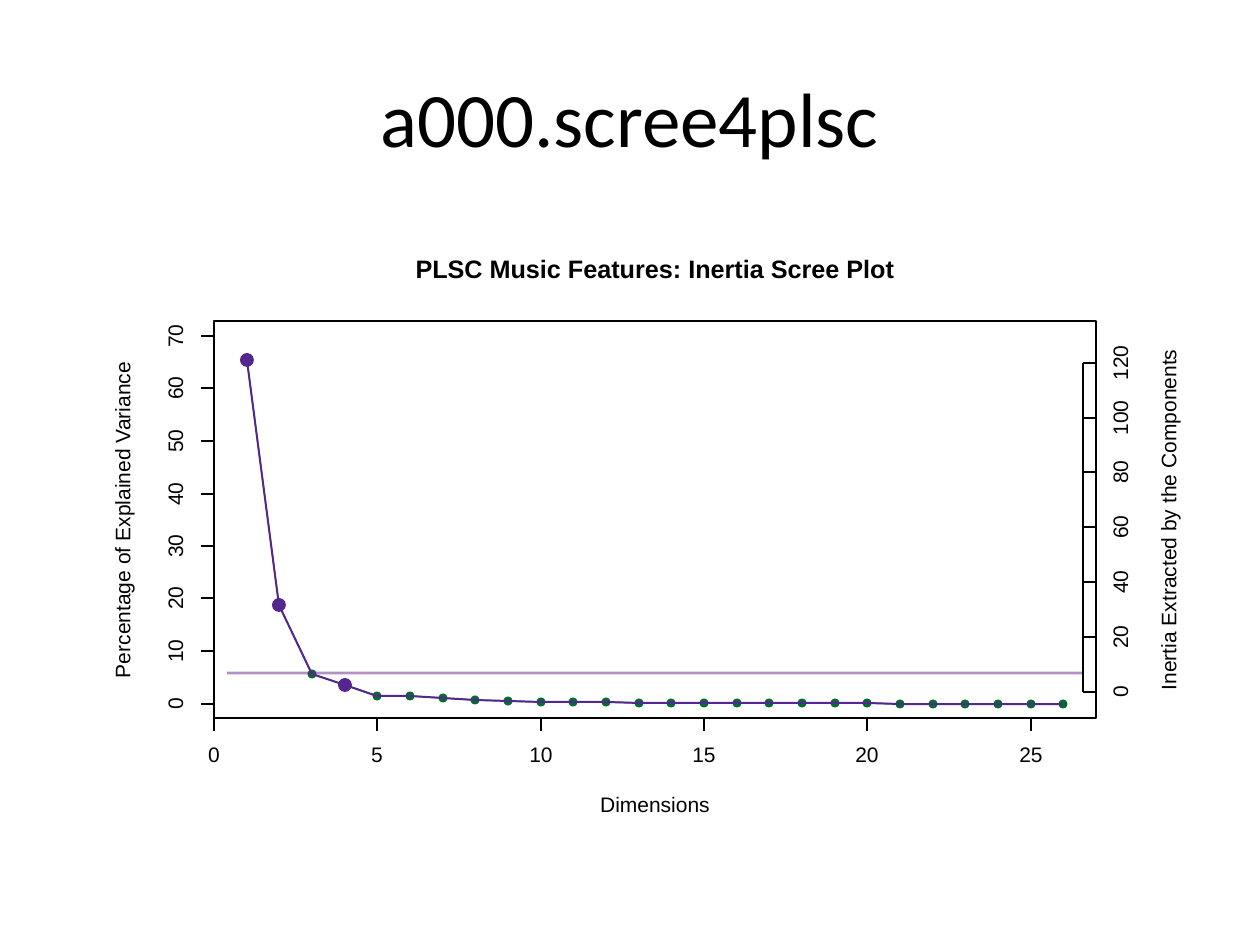
from lxml import etree
from pptx import Presentation
from pptx.dml.color import RGBColor
from pptx.enum.shapes import MSO_CONNECTOR, MSO_SHAPE
from pptx.enum.text import MSO_ANCHOR, PP_ALIGN
from pptx.oxml.ns import qn
from pptx.util import Emu, Pt

SCALE = 914400 / 126
COLORS = {
    "ink": "000000",
    "paper": "FFFFFF",
    "green": "006D2C",
    "purple": "54278F",
    "threshold": "68228B",
}
LEFT, TOP, RIGHT, BOTTOM = 214, 321, 1096, 718
TICK = 13
VARIANCE = [65.5, 18.7, 5.6, 3.6, 1.5, 1.4, 1.1, 0.6, 0.4, 0.3, 0.3, 0.2]
VARIANCE += [0.1] * 8 + [0] * 6
SIGNIFICANT = (1, 2, 4)


def px(value):
    return Emu(round(value * SCALE))


def color(name):
    return RGBColor.from_string(COLORS[name])


def dimension_x(dimension):
    return round(LEFT + dimension * 32.67)


def variance_y(percent):
    return round(703.5 - percent * 5.25)


def inertia_y(inertia):
    return round(691.5 - inertia * 2.74)


def add_text(slide, text, center, size, points=12, font="Arial", bold=False,
             rotation=0, spacing=None):
    x, y = center
    width, height = size
    shape = slide.shapes.add_textbox(
        px(x - width / 2), px(y - height / 2), px(width), px(height))
    shape.rotation = rotation
    frame = shape.text_frame
    frame.text = text
    frame.word_wrap = False
    frame.vertical_anchor = MSO_ANCHOR.MIDDLE
    frame.margin_left = frame.margin_right = frame.margin_top = frame.margin_bottom = 0
    paragraph = frame.paragraphs[0]
    paragraph.alignment = PP_ALIGN.CENTER
    paragraph.line_spacing = spacing or Pt(points)
    style = paragraph.runs[0].font
    style.name = font
    style.size = Pt(points)
    style.bold = bold
    style.color.rgb = color("ink")


def add_line(slide, start, end, line="ink", width=0.75, opacity=None):
    connector = slide.shapes.add_connector(
        MSO_CONNECTOR.STRAIGHT, *map(px, start + end))
    connector.line.color.rgb = color(line)
    connector.line.width = Pt(width)
    properties = connector._element.spPr
    if opacity is not None:
        fill = properties.find(".//" + qn("a:srgbClr"))
        etree.SubElement(fill, qn("a:alpha")).set("val", str(opacity * 1000))
    etree.SubElement(properties, qn("a:effectLst"))


def add_path(slide, points, line, width=0.75, close=False):
    builder = slide.shapes.build_freeform(*points[0], scale=SCALE)
    builder.add_line_segments(points[1:], close=close)
    shape = builder.convert_to_shape()
    shape.shadow.inherit = False
    shape.fill.background()
    shape.line.color.rgb = color(line)
    shape.line.width = Pt(width)


def add_shape(slide, kind, box, fill, line=None):
    shape = slide.shapes.add_shape(kind, *map(px, box))
    shape.shadow.inherit = False
    shape.fill.solid()
    shape.fill.fore_color.rgb = color(fill)
    if line:
        shape.line.color.rgb = color(line)
        shape.line.width = Pt(0.75)
    else:
        shape.line.fill.background()


def add_dot(slide, center, diameter, fill):
    x, y = center
    box = (x - diameter / 2, y - diameter / 2, diameter, diameter)
    add_shape(slide, MSO_SHAPE.OVAL, box, fill)


def add_tick_label(slide, value, center, rotation=0):
    text = str(value)
    add_text(slide, text, center, (14 * len(text), 15), rotation=rotation)


def add_dimension_axis(slide):
    add_line(slide, (LEFT, BOTTOM), (dimension_x(25), BOTTOM))
    for value in range(0, 26, 5):
        x = dimension_x(value)
        add_line(slide, (x, BOTTOM), (x, BOTTOM + TICK))
        add_tick_label(slide, value, (x, 756))


def add_vertical_axis(slide, values, position, x, tick_end, label_x):
    add_line(slide, (x, position(values[0])), (x, position(values[-1])))
    for value in values:
        y = position(value)
        add_line(slide, (x, y), (tick_end, y))
        add_tick_label(slide, value, (label_x, y), rotation=270)


def add_scree(slide):
    points = [(dimension_x(dimension), variance_y(percent))
              for dimension, percent in enumerate(VARIANCE, 1)]
    add_path(slide, points, "green")
    for point in points:
        add_dot(slide, point, 9, "green")
    add_path(slide, points, "purple", 1.12)
    for dimension in SIGNIFICANT:
        add_dot(slide, points[dimension - 1], 14, "purple")


def main():
    presentation = Presentation()
    presentation.slide_width = px(1260)
    presentation.slide_height = px(945)
    slide = presentation.slides.add_slide(presentation.slide_layouts[6])

    add_text(slide, "a000.scree4plsc", (630, 117), (1134, 158), 44, "Calibri",
             spacing=1.0)
    add_shape(slide, MSO_SHAPE.RECTANGLE, (63, 221, 1134, 624), "paper", "paper")
    add_dimension_axis(slide)
    add_vertical_axis(slide, range(0, 71, 10), variance_y, LEFT, LEFT - TICK, 177)
    corners = [(LEFT, BOTTOM), (RIGHT, BOTTOM), (RIGHT, TOP), (LEFT, TOP)]
    add_path(slide, corners, "ink", close=True)
    add_text(slide, "PLSC Music Features: Inertia Scree Plot",
             (655, 271), (500, 19), 14.4, bold=True)
    add_text(slide, "Dimensions", (655, 806), (130, 15))
    add_text(slide, "Percentage of Explained Variance",
             (124, 520), (340, 20), rotation=270)
    add_scree(slide)
    add_line(slide, (227, 673), (RIGHT - TICK, 673), "threshold", 1.5, opacity=50)
    add_text(slide, "Inertia Extracted by the Components",
             (1170, 520), (360, 20), rotation=270)
    add_vertical_axis(slide, range(0, 121, 20), inertia_y, RIGHT - TICK, RIGHT, 1122)

    presentation.save("out.pptx")


main()
